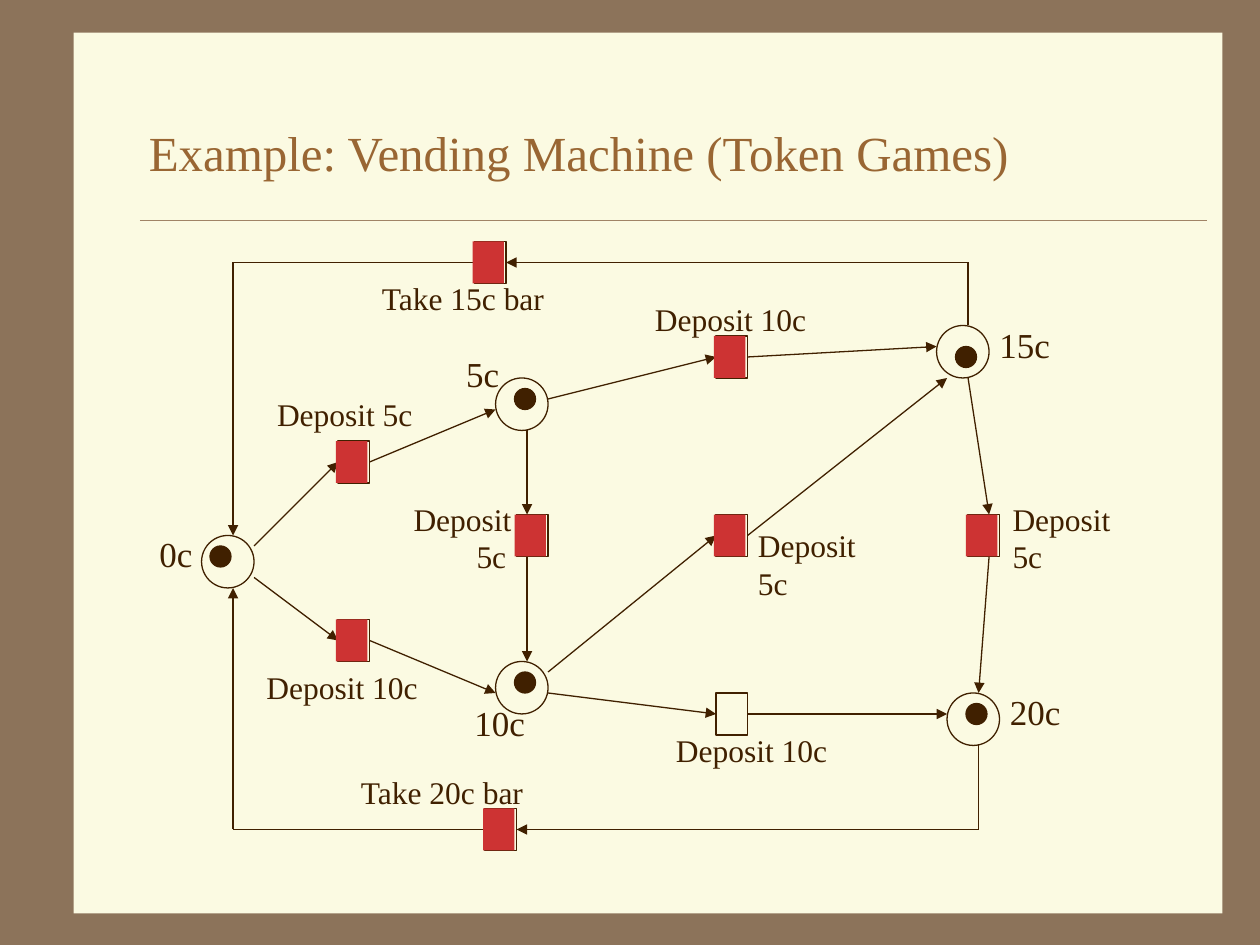
import pptx
import pptx.dml.color
import pptx.enum.shapes
import pptx.enum.text
import pptx.oxml
import pptx.oxml.ns
import pptx.util

Pt = pptx.util.Pt
SHAPES = pptx.enum.shapes.MSO_SHAPE
ANCHOR = pptx.enum.text.MSO_ANCHOR
TOP, LEFT, BOTTOM, RIGHT = range(4)

INK = "402000"
RED = "CD3333"
FONT = "Times New Roman"
PLACE_SIZE, TOKEN_SIZE = 30, 12
BAR_WIDTH, BAR_HEIGHT = 18, 24
FIRED_SHIFT = 1.2  # a fired marker sits slightly left of its transition

# Place: left, top of the circle, then left, top of its token
PLACES = [
    (115.2, 306, 120, 312),
    (283.2, 216, 294, 222),
    (283.2, 378, 294, 384),
    (541.2, 396, 552, 402),
    (535.2, 186, 546, 198),
]

# Transition: left, top, fired
TRANSITIONS = {
    "0c to 5c": (193.2, 252, True),
    "0c to 10c": (193.2, 354, True),
    "5c to 10c": (295.2, 294, True),
    "5c to 15c": (409.2, 192, True),
    "10c to 15c": (409.2, 294, True),
    "10c to 20c": (409.2, 396, False),
    "15c to 20c": (553.2, 294, True),
    "take 15c": (271.2, 138, True),
    "take 20c": (277.2, 462, True),
}

# Arc: start, end; each is a point or a transition with one of its sides
ARROWS = [
    ((145.2, 312), ("0c to 5c", LEFT)),
    (("0c to 5c", RIGHT), (283.2, 234)),
    ((145.2, 330), ("0c to 10c", LEFT)),
    (("0c to 10c", RIGHT), (283.2, 396)),
    ((313.2, 228), ("5c to 15c", LEFT)),
    (("5c to 15c", RIGHT), (535.2, 198)),
    ((301.2, 246), (301.2, 294)),
    ((301.2, 318), (301.2, 378)),
    ((313.2, 384), ("10c to 15c", LEFT)),
    (("10c to 15c", RIGHT), (541.2, 216)),
    ((313.2, 396), ("10c to 20c", LEFT)),
    (("10c to 20c", RIGHT), (541.2, 408)),
    ((553.2, 216), (565.2, 294)),
    ((565.2, 318), (559.2, 396)),
    ((559.2, 474), ("take 20c", RIGHT)),
    ((133.2, 474), (133.2, 336)),
    ((553.2, 150), ("take 15c", RIGHT)),
    ((133.2, 150), (133.2, 306)),
]
PLAIN_LINES = [
    ((559.2, 426), (559.2, 474)),
    (("take 20c", LEFT), (133.2, 474)),
    ((553.2, 186), (553.2, 150)),
    (("take 15c", LEFT), (133.2, 150)),
]

# Label: text, left, top, width
PLACE_LABELS = [
    ("0c", 84, 301, 37),
    ("5c", 259.2, 198, 37),
    ("10c", 264, 397.2, 47),
    ("15c", 564, 181.2, 47),
    ("20c", 570, 391.2, 47),
]
TRANSITION_LABELS = [
    ("Take 15c bar", 211.2, 156, 139),
    ("Deposit 5c", 151.2, 222, 96),
    ("Deposit 10c", 145.2, 378, 105),
    ("Deposit 10c", 367.2, 168, 105),
    ("Deposit 10c", 379.2, 414, 105),
    ("Deposit\n5c", 426, 297.2, 74),
    ("Deposit\n5c", 571.5, 282, 74),
    ("Take 20c bar", 199.2, 438, 112),
]


def color(hex_value):
    return pptx.dml.color.RGBColor.from_string(hex_value)


def add_shape(slide, kind, left, top, width, height, fill=None, line=None):
    shape = slide.shapes.add_shape(kind, Pt(left), Pt(top), Pt(width), Pt(height))
    shape.shadow.inherit = False
    if fill:
        shape.fill.solid()
        shape.fill.fore_color.rgb = color(fill)
    else:
        shape.fill.background()
    if line:
        shape.line.color.rgb = color(line)
        shape.line.width = Pt(0.75)
    else:
        shape.line.fill.background()
    return shape


def add_text(slide, text, left, top, width, height=30, size=18, ink=INK,
             anchor=ANCHOR.TOP, last_indent=0):
    box = slide.shapes.add_textbox(Pt(left), Pt(top), Pt(width), Pt(height))
    frame = box.text_frame
    frame.word_wrap = True
    frame.vertical_anchor = anchor
    frame.text = text
    for paragraph in frame.paragraphs:
        paragraph.font.size = Pt(size)
        paragraph.font.name = FONT
        paragraph.font.color.rgb = color(ink)
    if last_indent:
        properties = frame.paragraphs[-1]._p.get_or_add_pPr()
        properties.set("marL", str(Pt(last_indent)))


def add_line(slide, start, end, bars, ink=INK, width=0.75, arrow=False):
    points = [(0, 0) if point[0] in bars else point for point in (start, end)]
    connector = slide.shapes.add_connector(
        pptx.enum.shapes.MSO_CONNECTOR.STRAIGHT,
        *(Pt(value) for point in points for value in point))
    if start[0] in bars:
        connector.begin_connect(bars[start[0]], start[1])
    if end[0] in bars:
        connector.end_connect(bars[end[0]], end[1])
    connector.line.color.rgb = color(ink)
    connector.line.width = Pt(width)
    if arrow:
        tail = pptx.oxml.parse_xml(
            f'<a:tailEnd {pptx.oxml.ns.nsdecls("a")} type="triangle"/>')
        connector.line._get_or_add_ln().append(tail)
    connector._element.spPr.append(
        pptx.oxml.parse_xml(f'<a:effectLst {pptx.oxml.ns.nsdecls("a")}/>'))


def add_frame(slide):
    slide.background.fill.solid()
    slide.background.fill.fore_color.rgb = color("8C735A")
    add_shape(slide, SHAPES.RECTANGLE, 42, 18.7, 656.6, 503.3, fill="FBFAE2")
    add_line(slide, (80, 126), (690, 126), {}, ink="A08366", width=0.25)
    add_text(slide, "Example: Vending Machine (Token Games)", 78, 48, 612, 78,
             size=28, ink="996633", anchor=ANCHOR.MIDDLE)


def add_net(slide):
    # Places and transitions
    for left, top, _, _ in PLACES:
        add_shape(slide, SHAPES.OVAL, left, top, PLACE_SIZE, PLACE_SIZE, line=INK)
    bars = {name: add_shape(slide, SHAPES.RECTANGLE, left, top,
                            BAR_WIDTH, BAR_HEIGHT, line=INK)
            for name, (left, top, _) in TRANSITIONS.items()}

    # Arcs
    for start, end in ARROWS:
        add_line(slide, start, end, bars, arrow=True)
    for start, end in PLAIN_LINES:
        add_line(slide, start, end, bars)

    # Labels
    for label in PLACE_LABELS:
        add_text(slide, *label, size=20)
    for text, left, top, width in TRANSITION_LABELS:
        add_text(slide, text, left, top, width, height=50 if "\n" in text else 30)
    add_text(slide, "Deposit\n5c", 229.2, 282, 77.8, height=50, last_indent=36)

    # Fired transitions and tokens
    for left, top, fired in TRANSITIONS.values():
        if fired:
            add_shape(slide, SHAPES.RECTANGLE, left - FIRED_SHIFT, top,
                      BAR_WIDTH, BAR_HEIGHT, fill=RED)
    for _, _, left, top in PLACES:
        add_shape(slide, SHAPES.OVAL, left, top, TOKEN_SIZE, TOKEN_SIZE,
                  fill=INK, line=INK)


def main():
    presentation = pptx.Presentation()
    presentation.slide_width, presentation.slide_height = Pt(720), Pt(540)
    slide = presentation.slides.add_slide(presentation.slide_layouts[6])
    add_frame(slide)
    add_net(slide)
    presentation.save("out.pptx")


if __name__ == "__main__":
    main()
